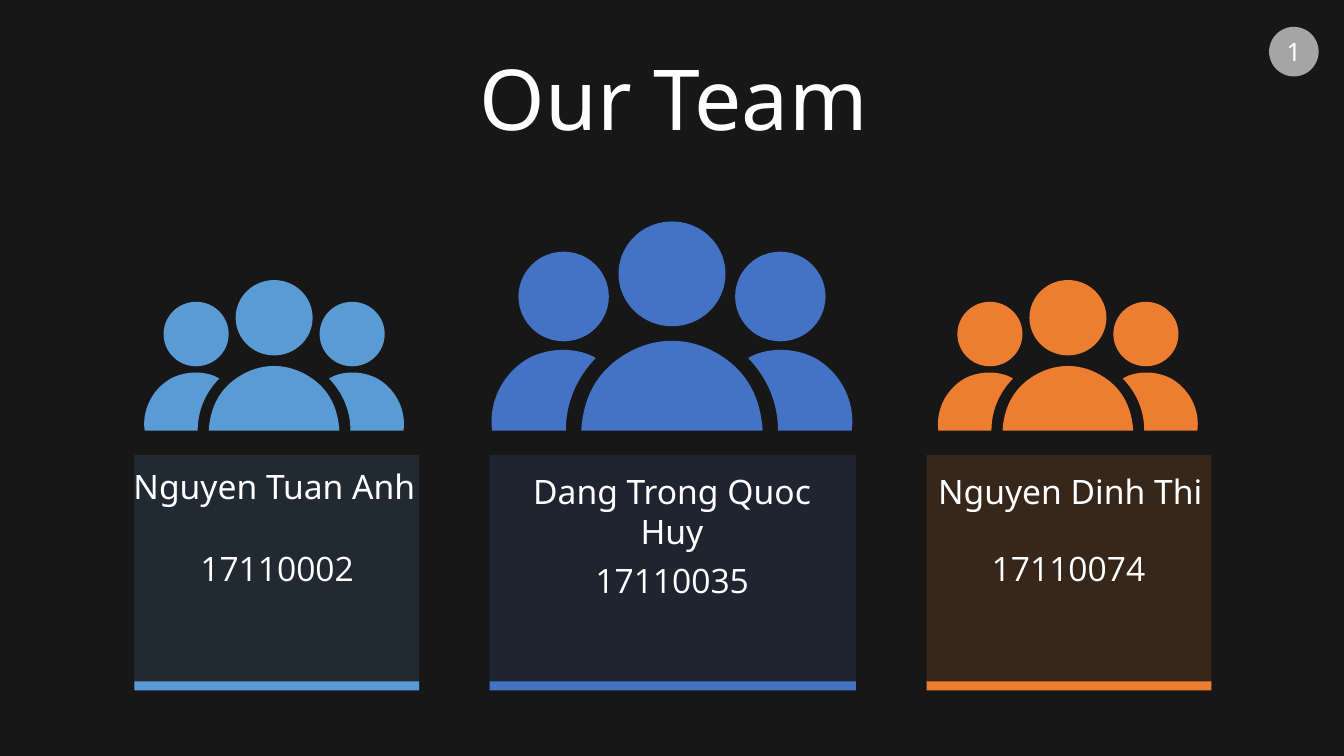
from dataclasses import dataclass
from lxml import etree
from pptx import Presentation
from pptx.dml.color import RGBColor
from pptx.enum import shapes as kinds, text as modes
from pptx.oxml import ns
from pptx.util import Pt


@dataclass(frozen=True)
class Theme:
    back: str = "181717"
    ink: str = "FFFFFF"
    badge: str = "A5A5A5"
    sky: str = "5B9BD5"
    blue: str = "4472C4"
    rust: str = "ED7D31"
    head: str = "Noto Sans"
    body: str = "Open Sans"
    title: int = 60
    label: int = 24
    count: int = 18


LOOK = Theme()
BASE = 307.6
TORSO = [
    (-64.8, 0),
    (-63.4, -22.3), (-54.7, -41), (-35.2, -53.4),
    (-13, -67.7), (13, -67.7), (35.2, -53.4),
    (54.7, -41), (63.4, -22.3), (64.8, 0),
]
SIDE = [
    (75.8, 0),
    (75.8, -19.4), (68.4, -37.4), (54.4, -51.8),
    (66.2, -59), (87, -60.5), (103.7, -51),
    (123, -39), (131, -18), (128.4, 0),
]
HEADS = [(0, -112, 76.4, 74.8), (-77.4, -95.8, 64.6, 64), (77.4, -95.8, 64.6, 64)]


def apply(item, values):
    for name, value in values.items():
        setattr(item, name, value)


def paint(shape, color, alpha=None):
    shape.fill.solid()
    shape.fill.fore_color.rgb = RGBColor.from_string(color)
    shape.line.fill.background()
    shape.shadow.inherit = False
    if alpha:
        tint = shape.fill._xPr.find(".//" + ns.qn("a:srgbClr"))
        etree.SubElement(tint, ns.qn("a:alpha"), val=str(alpha * 1000))


def block(home, kind, box, color, alpha=None):
    shape = home.add_shape(kind, *map(Pt, box))
    paint(shape, color, alpha)
    return shape


def write(shape, words, font, size, **frame):
    box = shape.text_frame
    apply(box, {"word_wrap": True, "auto_size": modes.MSO_AUTO_SIZE.NONE,
                "vertical_anchor": modes.MSO_ANCHOR.TOP, **frame})
    line = box.paragraphs[0]
    line.alignment = modes.PP_ALIGN.CENTER
    run = line.add_run()
    run.text = words
    apply(run.font, {"name": font, "size": Pt(size)})
    run.font.color.rgb = RGBColor.from_string(LOOK.ink)


def label(slide, words, font, box):
    shape = slide.shapes.add_textbox(*map(Pt, box))
    write(shape, words, font, LOOK.label)


def bend(shape):
    lines = list(shape._element.iter(ns.qn("a:lnTo")))
    for index in range(0, len(lines), 3):
        curve = etree.Element(ns.qn("a:cubicBezTo"))
        lines[index].addprevious(curve)
        for line in lines[index:index + 3]:
            curve.append(line[0])
            line.getparent().remove(line)


def outline(home, mid, ratio, form, flip, color):
    dots = [(Pt(mid + flip * ratio * x), Pt(BASE + ratio * y)) for x, y in form]
    pen = home.build_freeform(*dots[0], scale=1.0)
    pen.add_line_segments(dots[1:], close=True)
    shape = pen.convert_to_shape()
    bend(shape)
    paint(shape, color)


def crowd(slide, mid, ratio, color):
    home = slide.shapes.add_group_shape().shapes
    outline(home, mid, ratio, TORSO, 1, color)
    for x, y, wide, high in HEADS:
        box = (mid + ratio * (x - wide / 2), BASE + ratio * (y - high / 2),
               ratio * wide, ratio * high)
        block(home, kinds.MSO_SHAPE.OVAL, box, color)
    for flip in (1, -1):
        outline(home, mid, ratio, SIDE, flip, color)


def card(slide, left, wide, color):
    rect = kinds.MSO_SHAPE.RECTANGLE
    block(slide.shapes, rect, (left, 325, wide, 166.3), color, 15)
    block(slide.shapes, rect, (left, 486.7, wide, 6.5), color)


def main():
    deck = Presentation()
    apply(deck, {"slide_width": Pt(960), "slide_height": Pt(540)})
    slide = deck.slides.add_slide(deck.slide_layouts[5])
    slide.background.fill.solid()
    slide.background.fill.fore_color.rgb = RGBColor.from_string(LOOK.back)

    title = slide.shapes.title
    apply(title, {"left": Pt(61.2), "top": Pt(29.5), "width": Pt(840), "height": Pt(80)})
    write(title, "Our Team", LOOK.head, LOOK.title, vertical_anchor=modes.MSO_ANCHOR.MIDDLE)

    team = [
        ("Nguyen Tuan Anh", "17110002", LOOK.sky, (96, 203.4), (195.8, 0.72),
         (70, 329, 252, 36), (111, 388, 174, 36)),
        ("Dang Trong Quoc Huy", "17110035", LOOK.blue, (349.8, 261.6), (480, 1),
         (354, 332.6, 252, 36), (364.2, 396.2, 232, 36)),
        ("Nguyen Dinh Thi", "17110074", LOOK.rust, (661.9, 203.4), (762.8, 0.72),
         (644.4, 332.6, 240, 36), (676.3, 388, 174, 36)),
    ]
    for name, code, color, span, icon, top, low in team:
        card(slide, *span, color)
        crowd(slide, *icon, color)
        label(slide, code, LOOK.body, low)
        label(slide, name, LOOK.head, top)

    badge = block(slide.shapes, kinds.MSO_SHAPE.OVAL, (906.5, 19.2, 35.4, 35.4), LOOK.badge)
    write(badge, "1", LOOK.head, LOOK.count, word_wrap=False,
          vertical_anchor=modes.MSO_ANCHOR.MIDDLE)
    deck.save("out.pptx")


if __name__ == "__main__":
    main()
